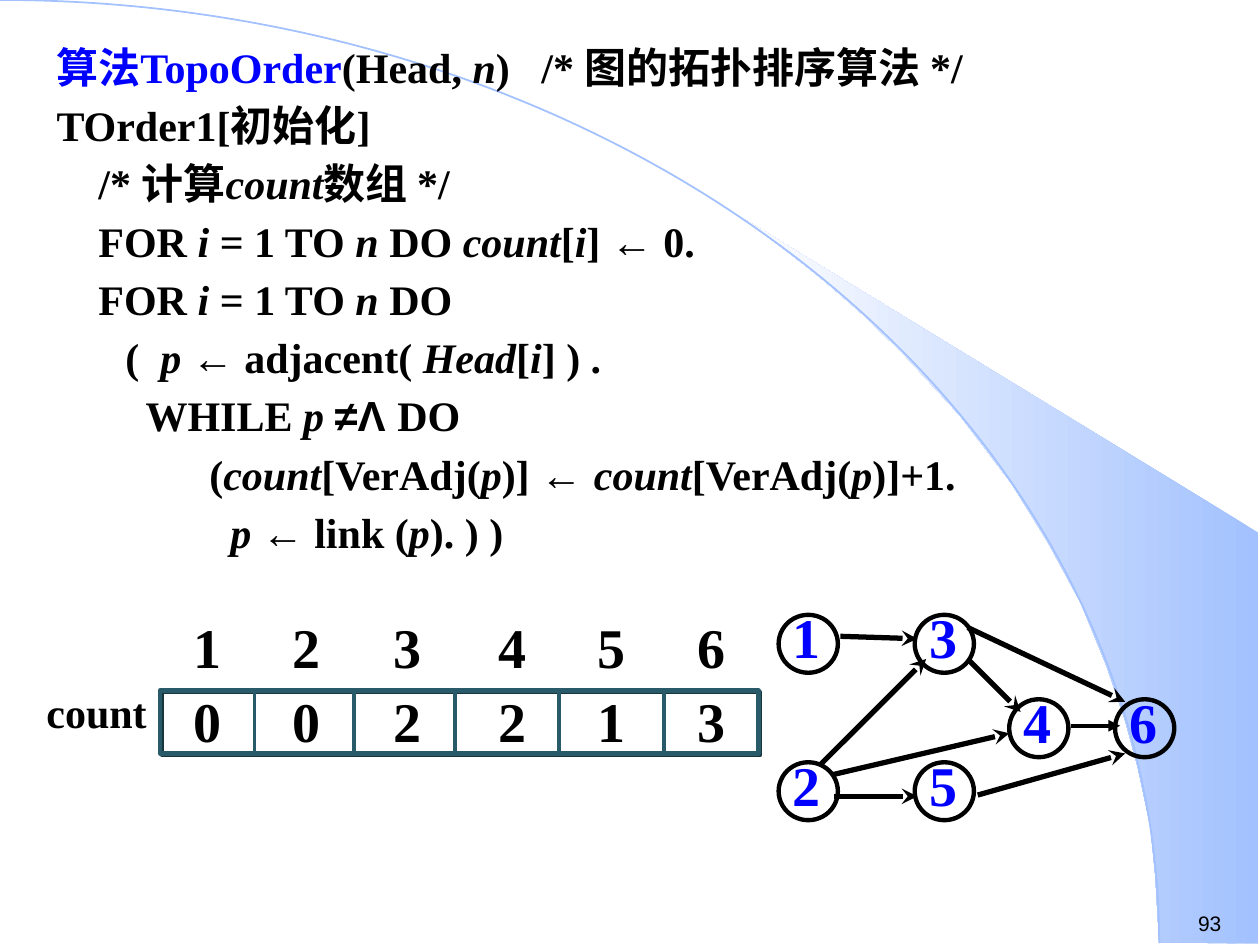
"""Build a slide on the topological order algorithm with its count array and graph."""
from lxml import etree
from pptx import Presentation
from pptx.dml.color import RGBColor
from pptx.enum import shapes, text
from pptx.oxml import ns
from pptx.util import Inches, Pt

BLACK = RGBColor(0, 0, 0)
BLUE = RGBColor(0, 0, 255)
TEAL = RGBColor(0x29, 0x5A, 0x69)
SKY = RGBColor(0xA2, 0xC1, 0xFE)
PALE = RGBColor(0xFE, 0xFE, 0xFE)
SERIF, SANS = "Times New Roman", "Arial"

PLAIN, ITAL, SIGN, NAME = range(4)
CODE = [
    [("算法TopoOrder", NAME), ("(Head, ", PLAIN), ("n", ITAL), (")   /* 图的拓扑排序算法 */", PLAIN)],
    [("TOrder1[初始化]", PLAIN)],
    [("    /* 计算", PLAIN), ("count", ITAL), ("数组 */", PLAIN)],
    [("    FOR", PLAIN), (" i", ITAL), (" = 1 TO ", PLAIN), ("n", ITAL), (" DO ", PLAIN),
     ("count", ITAL), ("[", PLAIN), ("i", ITAL), ("] ", PLAIN), ("←", SIGN), (" 0.", PLAIN)],
    [("    FOR ", PLAIN), ("i ", ITAL), ("= 1 TO ", PLAIN), ("n", ITAL), (" DO", PLAIN)],
    [("\t  (  ", PLAIN), ("p ", ITAL), ("←", SIGN), (" adjacent( ", PLAIN), ("Head", ITAL),
     ("[", PLAIN), ("i", ITAL), ("] ) .", PLAIN)],
    [("\t    WHILE ", PLAIN), ("p ", ITAL), ("≠Λ ", SIGN), ("DO", PLAIN)],
    [("\t\t    (", PLAIN), ("count", ITAL), ("[VerAdj(", PLAIN), ("p", ITAL), (")] ", PLAIN),
     ("← ", SIGN), ("count", ITAL), ("[VerAdj(", PLAIN), ("p", ITAL), (")]+1.", PLAIN)],
    [("\t\t      ", PLAIN), ("p ", ITAL), ("←", SIGN), (" link (", PLAIN), ("p", ITAL), ("). ) )", PLAIN)],
]
COUNTS = [0, 0, 2, 2, 1, 3]
CELLS = [1.27, 2.06, 2.86, 3.69, 4.48, 5.27]
BARS = [2.02, 2.81, 3.61, 4.44, 5.27]
NODES = {1: (6.18, 4.88), 2: (6.18, 6.05), 3: (7.26, 4.88),
         4: (8.01, 5.55), 5: (7.26, 6.05), 6: (8.85, 5.55)}
EDGES = [
    (6.67, 5.05, 7.28, 5.07), (6.62, 6.32, 7.28, 6.32), (6.6, 6.15, 8.01, 5.82),
    (6.51, 6.07, 7.35, 5.23), (7.68, 5.23, 8.1, 5.65), (7.76, 6.31, 8.93, 5.98),
    (7.68, 4.98, 8.93, 5.57),
]
THIN = (8.5, 5.76, 8.89, 5.76)
SWOOSH = [
    (9.2, 7.48), (9.99, 7.49), (9.99, 4.23), (5.89, 1.73), (6.24, 1.99), (6.53, 2.22),
    (6.85, 2.5), (7.16, 2.8), (7.62, 3.3), (8.03, 3.84), (8.32, 4.31), (8.58, 4.79),
    (8.78, 5.28), (8.93, 5.72), (9.03, 6.09), (9.13, 6.56), (9.17, 6.96),
]


def sub(node, tag, **attrs):
    return etree.SubElement(node, ns.qn(tag), attrs)


def write(par, words, size, color=BLACK, face=SERIF, bold=True, ital=False):
    run = par.add_run()
    run.text = words
    font = run.font
    font.size, font.name, font.bold, font.italic = Pt(size), face, bold, ital
    font.color.rgb = color


def box(slide, x, y, w, h):
    frame = slide.shapes.add_textbox(*map(Inches, (x, y, w, h))).text_frame
    frame.word_wrap = True
    return frame


def label(slide, place, words, size, align=text.PP_ALIGN.LEFT, **style):
    par = box(slide, *place).paragraphs[0]
    par.alignment = align
    write(par, words, size, **style)


def outline(slide, kind, place, color, width):
    shape = slide.shapes.add_shape(kind, *map(Inches, place))
    shape.shadow.inherit = False
    shape.fill.background()
    shape.line.color.rgb = color
    shape.line.width = Pt(width)
    return shape


def line(slide, ends, color, width, head=None):
    link = slide.shapes.add_connector(shapes.MSO_CONNECTOR.STRAIGHT, *map(Inches, ends))
    link.line.color.rgb = color
    link.line.width = Pt(width)
    if head:
        sub(link.line._get_or_add_ln(), "a:tailEnd", type=head)
    sub(link._element.spPr, "a:effectLst")


def draw_back(slide):
    pen = slide.shapes.build_freeform(*map(Inches, SWOOSH[0]), scale=1.0)
    pen.add_line_segments([tuple(map(Inches, spot)) for spot in SWOOSH[1:]])
    wing = pen.convert_to_shape()
    wing.shadow.inherit = False
    wing.line.fill.background()
    wing.fill.gradient()
    wing.fill.gradient_angle = 180
    for stop, color, pos in zip(wing.fill.gradient_stops, (SKY, PALE), (0, 1)):
        stop.color.rgb = color
        stop.position = pos
    outline(slide, shapes.MSO_SHAPE.ARC, (-9.2, 0, 18.4, 14.97), SKY, 1)
    label(slide, (9.41, 7.18, 0.59, 0.3), "93", 12, face=SANS, bold=False)


def draw_code(slide):
    frame = box(slide, 0.35, 0.28, 8.35, 4.53)
    for row, runs in enumerate(CODE):
        par = frame.add_paragraph() if row else frame.paragraphs[0]
        props = par._p.get_or_add_pPr()
        props.set("marL", str(Inches(0.38)))
        props.set("indent", str(-Inches(0.38)))
        tabs = sub(props, "a:tabLst")
        for stop in range(8):
            sub(tabs, "a:tab", pos=str(Inches(stop)), algn="l")
        if row:
            par.space_before = Pt(4.4)
        for words, kind in runs:
            write(par, words, 24, BLUE if kind == NAME else BLACK,
                  SANS if kind == SIGN else SERIF, ital=kind == ITAL)


def draw_counts(slide):
    top, high = 5.48, 0.5
    frame = outline(slide, shapes.MSO_SHAPE.RECTANGLE, (1.27, top, 4.75, high), TEAL, 2.5)
    glow = frame._element.spPr.find(ns.qn("a:effectLst"))
    shade = sub(glow, "a:outerShdw", dist=str(Pt(1.4)), dir="2700000", algn="ctr", rotWithShape="0")
    sub(shade, "a:srgbClr", val="18353E")
    for x in BARS:
        line(slide, (x, top, x, top + high), TEAL, 2.25)
    for place, (x, count) in enumerate(zip(CELLS, COUNTS), 1):
        for y, value in ((4.81, place), (5.4, count)):
            label(slide, (x, y, 0.75, 0.64), str(value), 32, text.PP_ALIGN.CENTER)
    label(slide, (0.27, 5.4, 1.25, 0.5), "count", 24)


def draw_graph(slide):
    for name, (x, y) in NODES.items():
        node = outline(slide, shapes.MSO_SHAPE.OVAL, (x, y, 0.47, 0.46), BLACK, 2.5)
        frame = node.text_frame
        frame.word_wrap = False
        frame.vertical_anchor = text.MSO_ANCHOR.MIDDLE
        frame.margin_left = frame.margin_top = 0
        frame.margin_right, frame.margin_bottom = Inches(0.02), Inches(0.12)
        par = frame.paragraphs[0]
        par.alignment = text.PP_ALIGN.CENTER
        write(par, str(name), 32, BLUE)
    for ends in EDGES:
        line(slide, ends, BLACK, 3, "stealth")
    line(slide, THIN, BLACK, 2.25, "triangle")


def main():
    deck = Presentation()
    deck.slide_width, deck.slide_height = Inches(10), Inches(7.5)
    slide = deck.slides.add_slide(deck.slide_layouts[6])
    for draw in (draw_back, draw_code, draw_counts, draw_graph):
        draw(slide)
    deck.save("out.pptx")


if __name__ == "__main__":
    main()
